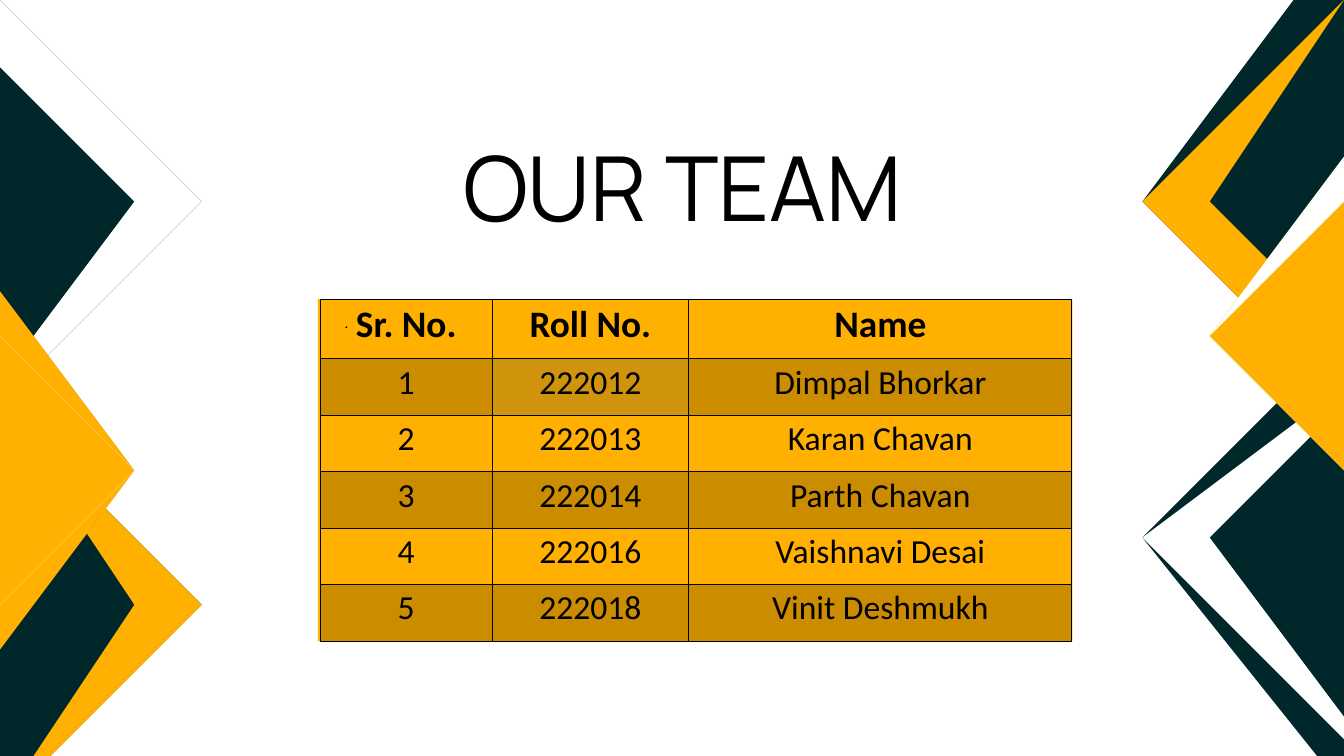
from lxml.etree import SubElement
from pptx import Presentation
from pptx.dml.color import RGBColor
from pptx.enum.shapes import MSO_SHAPE as Shape
from pptx.enum.text import MSO_ANCHOR as Anchor, MSO_AUTO_SIZE as AutoSize, PP_ALIGN as Align
from pptx.oxml.ns import qn
from pptx.util import Inches, Pt

DARK, AMBER, WHITE, BLACK, NAVY = "002729", "FFB000", "FFFFFF", "000000", "0F243E"
PAGE_WIDTH = 20
MIRROR_HEIGHT = 11.52  # sum of the heights of a right diamond and its left twin

# centre x, centre y, outer and inner half-diagonal (0 = solid), colour, opacity
RIGHT_DIAMONDS = [
    (21.25, 8.34, 4.26, 0, DARK, 100),
    (21.25, 8.34, 3.8, 3.56, WHITE, 100),
    (20.33, 2.6, 3.34, 0, DARK, 100),
    (20.33, 2.6, 2.98, 2.79, AMBER, 100),
    (21.35, 4.61, 3.64, 0, BLACK, 30),
    (21.45, 4.61, 3.64, 0, AMBER, 100),
    (21.45, 4.61, 3.25, 3.04, WHITE, 100),
]

HEADER = ("Sr. No.", "Roll No.", "Name")
TEAM = [
    ("222012", "Dimpal Bhorkar"),
    ("222013", "Karan Chavan"),
    ("222014", "Parth Chavan"),
    ("222016", "Vaishnavi Desai"),
    ("222018", "Vinit Deshmukh"),
]
COLUMN_WIDTHS = (2.55, 2.93, 5.7)
HEADER_HEIGHT, ROW_HEIGHT = 0.89, 0.84


def rgb(color):
    return RGBColor.from_string(color)


def paint(fill, properties, color, opacity=100):
    """Fill with a solid colour; properties is the XML element that holds the fill."""
    fill.solid()
    fill.fore_color.rgb = rgb(color)
    if opacity < 100:
        color_element = properties.find(qn("a:solidFill"))[0]
        SubElement(color_element, qn("a:alpha"), val=str(opacity * 1000))


def finish_shape(shape, color, opacity=100):
    shape.shadow.inherit = False
    shape.line.fill.background()
    paint(shape.fill, shape.element.spPr, color, opacity)


def corners(x, y, half):
    return [(x, y - half), (x + half, y), (x, y + half), (x - half, y)]


def add_diamond(page, x, y, outer, inner, color, opacity):
    """Draw a solid diamond, or a frame when inner is not 0."""
    outline = corners(x, y, outer)
    builder = page.shapes.build_freeform(*outline[0], scale=Inches(1))
    builder.add_line_segments(outline[1:], close=True)
    if inner:
        hole = corners(x, y, inner)[::-1]
        builder.move_to(*hole[0])
        builder.add_line_segments(hole[1:], close=True)
    finish_shape(builder.convert_to_shape(), color, opacity)


def add_side_diamonds(page):
    for x, y, *look in RIGHT_DIAMONDS:
        add_diamond(page, x, y, *look)
        add_diamond(page, PAGE_WIDTH - x, MIRROR_HEIGHT - y, *look)


def format_paragraph(para, size, font, align, bold=False):
    para.alignment = align
    para.font.size = Pt(size)
    para.font.name = font
    para.font.bold = bold
    para.font.color.rgb = rgb(BLACK)


def fill_text(box, text, size, align, line_height):
    frame = box.text_frame
    frame.word_wrap = True
    frame.auto_size = AutoSize.NONE
    frame.vertical_anchor = Anchor.TOP
    frame.margin_left = frame.margin_right = frame.margin_top = frame.margin_bottom = 0
    para = frame.paragraphs[0]
    para.text = text
    para.line_spacing = Pt(line_height)
    format_paragraph(para, size, "Manrope", align)


def add_title(page):
    title = page.shapes.title
    title.left, title.top = Inches(3.58), Inches(2.17)
    title.width, title.height = Inches(13.15), Inches(1.44)
    fill_text(title, "OUR TEAM", 96, Align.CENTER, 100.7)


def add_borders(cell):
    properties = cell._tc.get_or_add_tcPr()
    for side in ("lnL", "lnR", "lnT", "lnB"):
        line = SubElement(properties, qn(f"a:{side}"), w=str(Pt(1)))
        SubElement(SubElement(line, qn("a:solidFill")), qn("a:srgbClr"), val=BLACK)
    return properties


def add_team_table(page):
    rows = [HEADER] + [(str(number), *member) for number, member in enumerate(TEAM, 1)]
    height = HEADER_HEIGHT + ROW_HEIGHT * len(TEAM)
    table = page.shapes.add_table(
        len(rows), len(HEADER), Inches(4.77), Inches(4.45),
        Inches(sum(COLUMN_WIDTHS)), Inches(height),
    ).table
    table.first_row = table.horz_banding = False
    for column, width in zip(table.columns, COLUMN_WIDTHS):
        column.width = Inches(width)
    for r, values in enumerate(rows):
        is_header = r == 0
        table.rows[r].height = Inches(HEADER_HEIGHT if is_header else ROW_HEIGHT)
        for c, value in enumerate(values):
            cell = table.cell(r, c)
            properties = add_borders(cell)
            if r % 2:
                paint(cell.fill, properties, NAVY if (r, c) == (1, 1) else BLACK, 20)
            else:
                cell.fill.background()
            para = cell.text_frame.paragraphs[0]
            para.text = value
            format_paragraph(para, 40 if is_header else 36, "Calibri", Align.CENTER, is_header)


def main():
    deck = Presentation()
    deck.slide_width, deck.slide_height = Inches(PAGE_WIDTH), Inches(11.25)
    page = deck.slides.add_slide(deck.slide_layouts[5])
    add_side_diamonds(page)
    add_title(page)
    panel = page.shapes.add_shape(
        Shape.RECTANGLE, Inches(4.73), Inches(4.45), Inches(11.23), Inches(5.09)
    )
    finish_shape(panel, AMBER)
    dot = page.shapes.add_textbox(Inches(5.12), Inches(4.56), Inches(9.31), Inches(0.37))
    fill_text(dot, ".", 19.8, Align.JUSTIFY, 27.7)
    add_team_table(page)
    deck.save("out.pptx")


if __name__ == "__main__":
    main()
